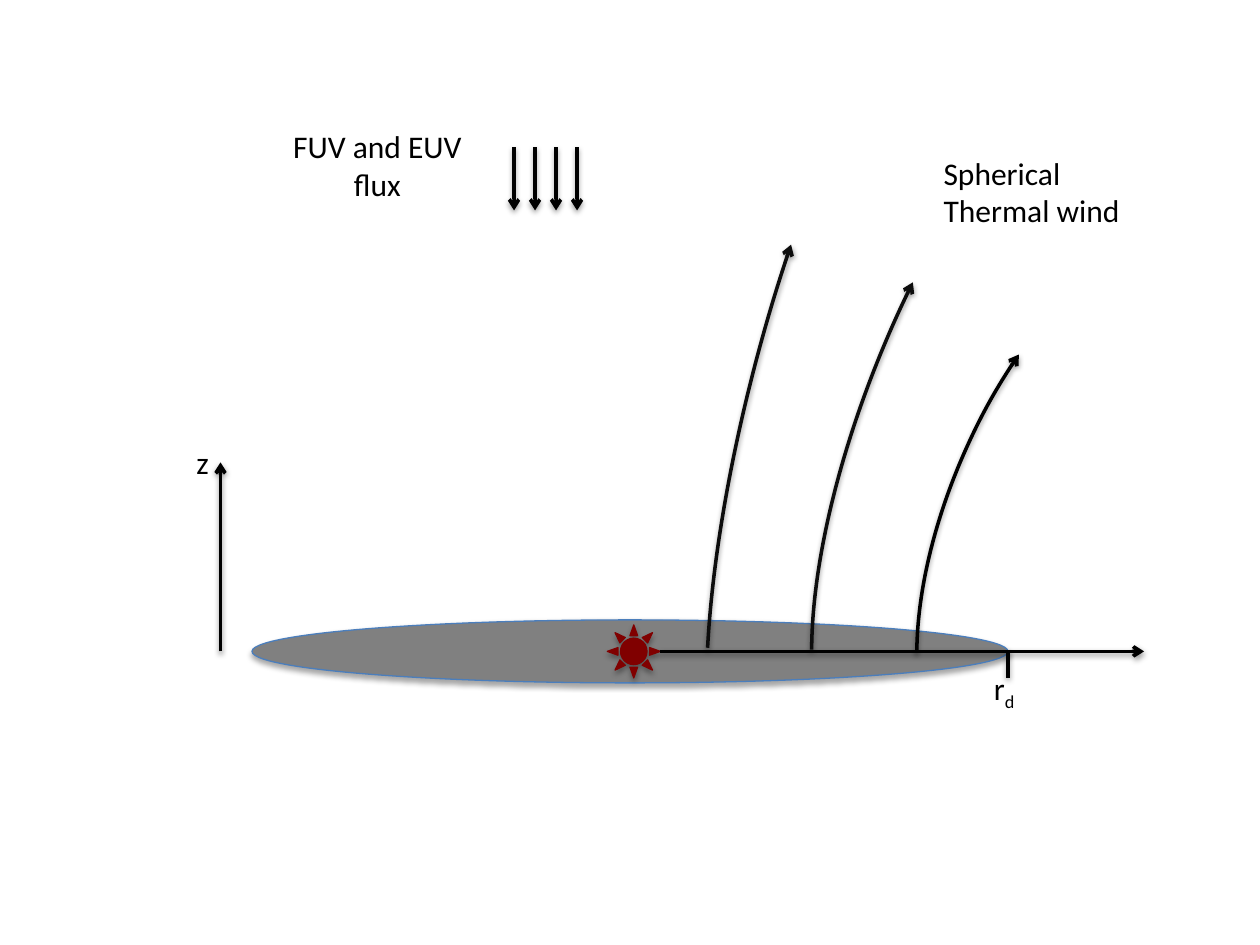
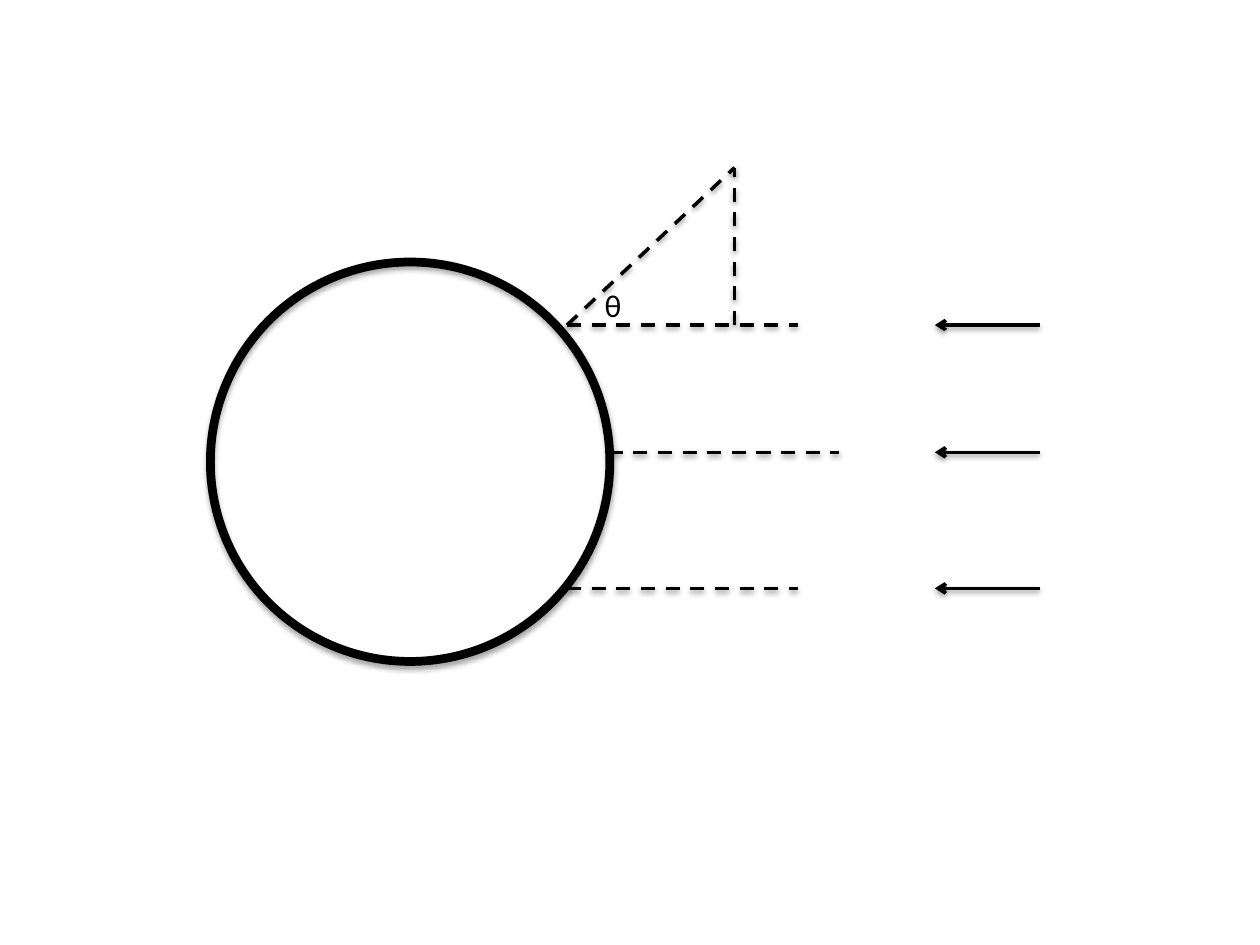
from dataclasses import dataclass
from typing import Optional

from lxml.etree import SubElement
from pptx import Presentation
from pptx.dml.color import RGBColor
from pptx.enum.dml import MSO_LINE_DASH_STYLE as DASH
from pptx.enum.shapes import MSO_CONNECTOR, MSO_SHAPE as SHAPE
from pptx.enum.text import MSO_AUTO_SIZE, PP_ALIGN as ALIGN
from pptx.oxml.ns import qn
from pptx.util import Inches, Pt

# Shared colours, text style and shadow strengths
BLACK = RGBColor(0x00, 0x00, 0x00)
NEAR_BLACK = RGBColor(0x0D, 0x0D, 0x0D)
GREY = RGBColor(0x80, 0x80, 0x80)
BLUE = RGBColor(0x4B, 0x7E, 0xBC)
MAROON = RGBColor(0x80, 0x00, 0x00)
FONT = {"name": "Calibri", "size": Pt(18)}


@dataclass(frozen=True)
class Shadow:
    opacity: int
    distance: float


SHAPE_SHADOW = Shadow(35, 1.8)
LINE_SHADOW = Shadow(38, 1.6)


@dataclass
class Line:
    x1: float
    y1: float
    x2: float
    y2: float
    arrow: bool = False
    dashed: bool = False


@dataclass
class Figure:
    kind: SHAPE
    x: float
    y: float
    w: float
    h: float
    fill: Optional[RGBColor] = None
    line: RGBColor = BLACK
    weight: float = 0.75
    shadow: Shadow = SHAPE_SHADOW
    rotation: float = 0
    adjustments: tuple[float, ...] = ()
    arrow: bool = False


@dataclass
class Label:
    x: float
    y: float
    w: float
    h: float
    lines: tuple[str, ...]
    align: ALIGN = ALIGN.LEFT
    subscript: str = ""


def add_arrowhead(sp) -> None:
    ln = sp.line._get_or_add_ln()
    SubElement(ln, qn("a:tailEnd"), type="arrow")


def add_shadow(effects, shadow: Shadow) -> None:
    outer = SubElement(effects, qn("a:outerShdw"), blurRad=str(Pt(3.1)),
                       dist=str(Pt(shadow.distance)), dir="5400000", rotWithShape="0")
    color = SubElement(outer, qn("a:srgbClr"), val=str(BLACK))
    SubElement(color, qn("a:alpha"), val=str(shadow.opacity * 1000))


def draw_line(slide, line: Line) -> None:
    sp = slide.shapes.add_connector(
        MSO_CONNECTOR.STRAIGHT,
        *(Inches(v) for v in (line.x1, line.y1, line.x2, line.y2)))
    sp.line.color.rgb = BLACK
    sp.line.width = Pt(2)
    if line.dashed:
        sp.line.dash_style = DASH.DASH
    if line.arrow:
        add_arrowhead(sp)
    add_shadow(SubElement(sp._element.spPr, qn("a:effectLst")), LINE_SHADOW)


def draw_figure(slide, fig: Figure) -> None:
    sp = slide.shapes.add_shape(
        fig.kind, *(Inches(v) for v in (fig.x, fig.y, fig.w, fig.h)))
    sp.rotation = fig.rotation
    for i, value in enumerate(fig.adjustments):
        sp.adjustments[i] = value
    if fig.fill is None:
        sp.fill.background()
    else:
        sp.fill.solid()
        sp.fill.fore_color.rgb = fig.fill
    sp.line.color.rgb = fig.line
    sp.line.width = Pt(fig.weight)
    if fig.arrow:
        add_arrowhead(sp)
    sp.shadow.inherit = False
    add_shadow(sp._element.spPr.find(qn("a:effectLst")), fig.shadow)


def add_run(p, text: str):
    r = p.add_run()
    r.text = text
    for name, value in FONT.items():
        setattr(r.font, name, value)
    r.font.color.rgb = BLACK
    return r


def draw_label(slide, label: Label) -> None:
    sp = slide.shapes.add_textbox(
        *(Inches(v) for v in (label.x, label.y, label.w, label.h)))
    tf = sp.text_frame
    tf.word_wrap = False
    tf.auto_size = MSO_AUTO_SIZE.SHAPE_TO_FIT_TEXT
    for i, text in enumerate(label.lines):
        p = tf.add_paragraph() if i else tf.paragraphs[0]
        p.alignment = label.align
        add_run(p, text)
    if label.subscript:
        r = add_run(p, label.subscript)
        r._r.get_or_add_rPr().set("baseline", "-25000")


DRAW = {Line: draw_line, Figure: draw_figure, Label: draw_label}


def build_slide(prs, items: list) -> None:
    slide = prs.slides.add_slide(prs.slide_layouts[6])
    for item in items:
        DRAW[type(item)](slide, item)


def wind(x: float, y: float, w: float, h: float, rotation: float,
         start: float, end: float, color: RGBColor) -> Figure:
    """A curved streamline leaving the disc."""
    return Figure(SHAPE.ARC, x, y, w, h, None, color, 2, LINE_SHADOW,
                  rotation, (start, end), arrow=True)


# Slide 1: disc with star, axes, incoming flux and thermal wind
MID_Y = 5.17
disc_wind = [
    Figure(SHAPE.OVAL, 2, 4.92, 6, 0.5, GREY, BLUE),
    Figure(SHAPE.SUN, 4.82, 4.96, 0.42, 0.42, MAROON, MAROON),
    Line(5.24, MID_Y, 9.08, MID_Y, arrow=True),
    Line(1.75, MID_Y, 1.75, 3.67, arrow=True),
    Label(1.46, 3.47, 0.3, 0.4, ("z",)),
    Label(2.22, 0.96, 1.55, 0.71, ("FUV and EUV", "flux"), ALIGN.CENTER),
    Label(7.39, 1.17, 1.61, 0.71, ("Spherical", "Thermal wind")),
    *(Line(x, 1.17, x, 1.67, arrow=True) for x in (4.08 + i / 6 for i in range(4))),
    wind(7.56, 1.67, 2.24, 4.74, 203.9, 178.208, 24.158, BLACK),
    wind(5.97, -0.55, 1.87, 7.3, 194.8, 172.494, 28.068, NEAR_BLACK),
    wind(6.91, 0.03, 2.29, 6.39, 202.4, 172.494, 16.884, NEAR_BLACK),
    Label(7.79, 5.26, 0.38, 0.4, ("r",), subscript="d"),
    Line(8, MID_Y, 8, 5.38),
]

# Slide 2: sphere lit from the right, with the angle of incidence
TOP_Y, CENTER_Y, BOTTOM_Y = 2.58, 3.59, 4.67
APEX_X, APEX_Y = 5.83, 1.33
sphere = [
    Figure(SHAPE.OVAL, 1.67, 2.08, 3.17, 3.17, weight=5),
    *(Line(x, y, x + 1.83, y, dashed=True)
      for x, y in ((4.83, CENTER_Y), (4.5, BOTTOM_Y), (4.5, TOP_Y))),
    Line(APEX_X, TOP_Y, APEX_X, APEX_Y, dashed=True),
    Line(4.5, TOP_Y, APEX_X, APEX_Y, dashed=True),
    *(Line(8.25, y, 7.42, y, arrow=True) for y in (CENTER_Y, BOTTOM_Y, TOP_Y)),
    Label(4.7, 2.22, 0.34, 0.4, ("θ",)),
]

prs = Presentation()
prs.slide_width, prs.slide_height = Inches(10), Inches(7.5)
for items in (disc_wind, sphere):
    build_slide(prs, items)
prs.save("out.pptx")
